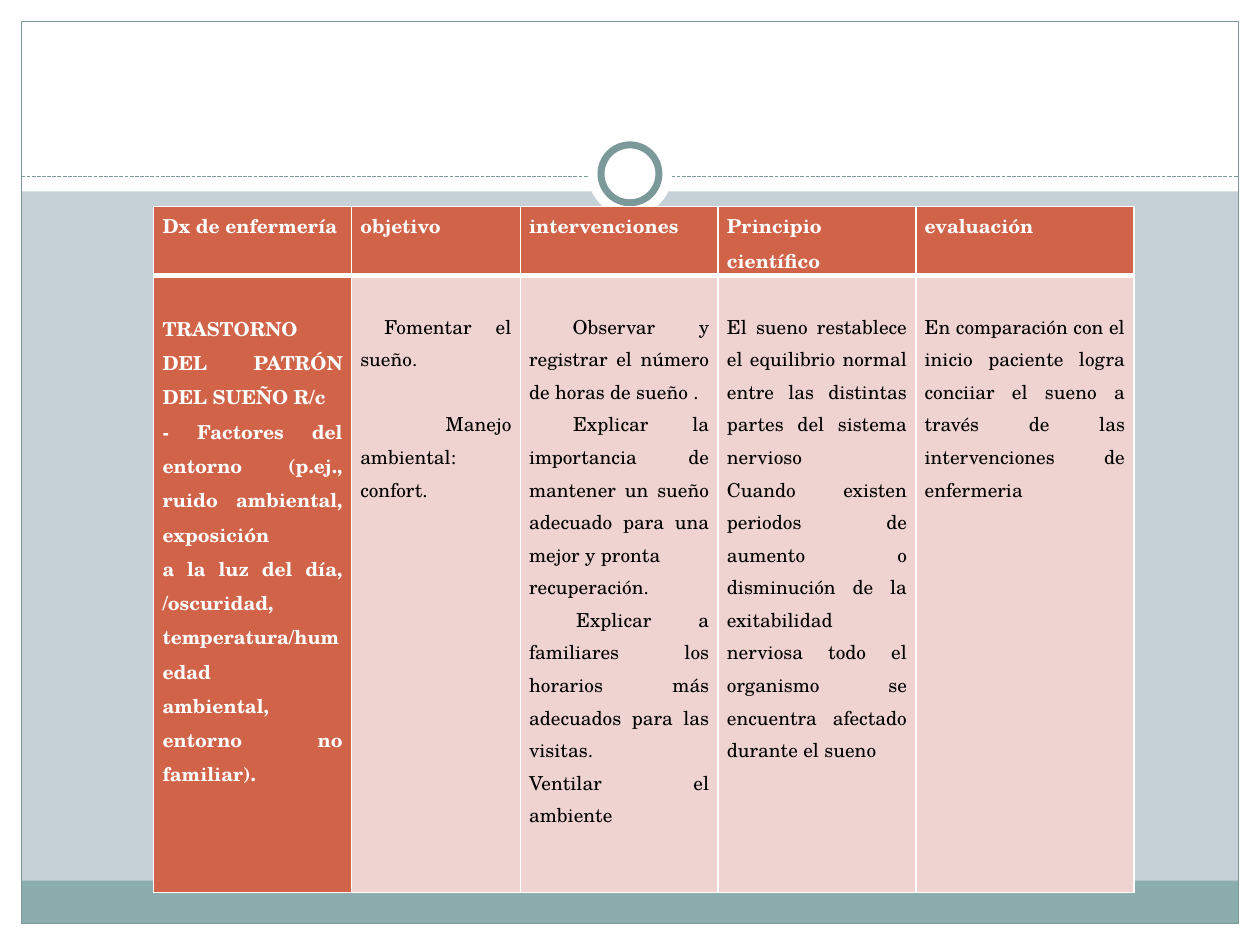
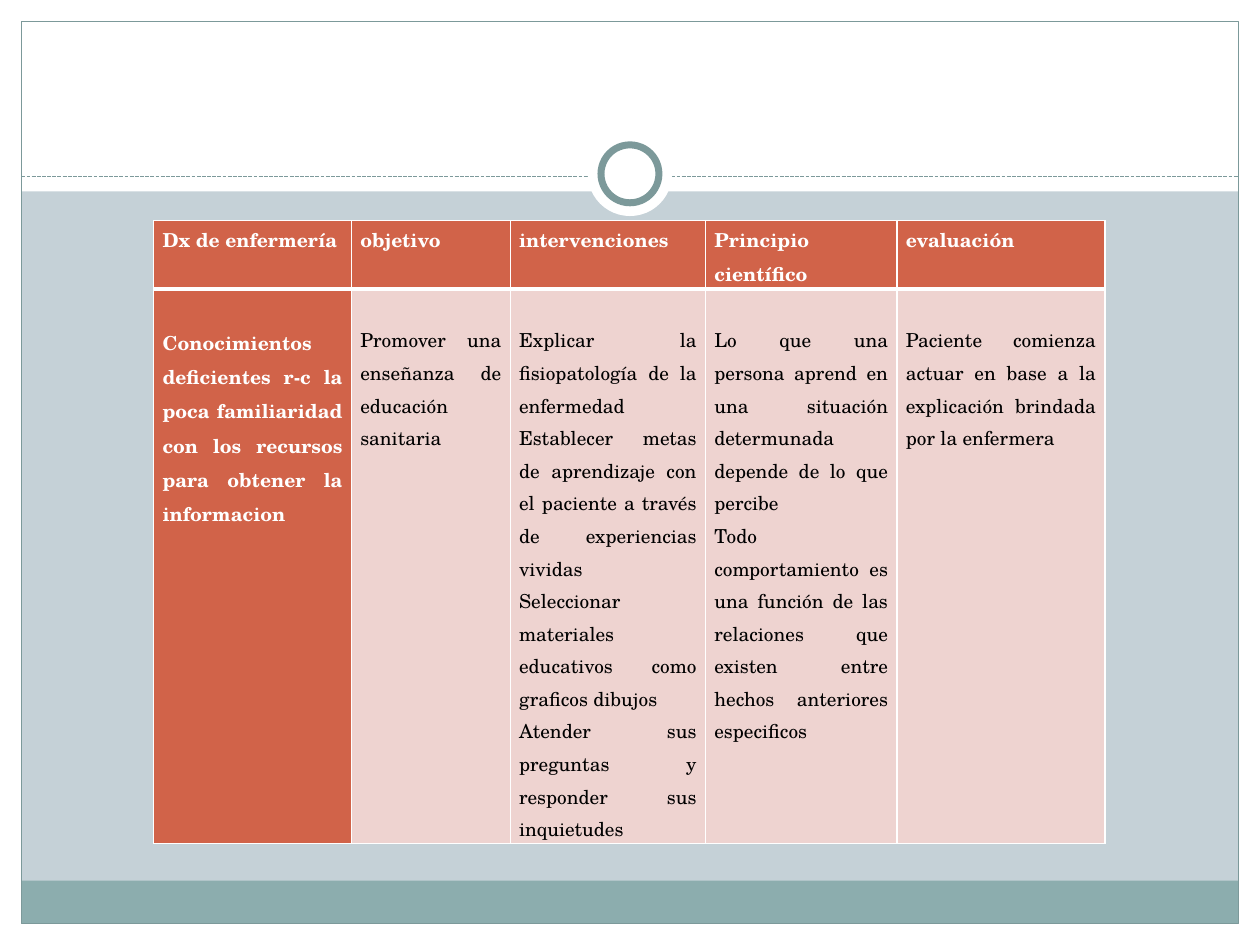
"""Nursing care plan tables on a shared framed background."""
from lxml import etree
from pptx import Presentation
from pptx import util as u
from pptx.dml.color import RGBColor
from pptx.enum import dml, shapes, text
from pptx.oxml import ns

COLORS = {
    "ground": "C5D1D7",
    "white": "FFFFFF",
    "band": "8CADAE",
    "frame": "7C999A",
    "accent": "D16349",
    "tint": "EED3D0",
    "ink": "000000",
}
FONT = "TeX Gyre Schola"
WIDTH, HEIGHT, EDGE = 10, 7.5, 0.17
HEADER_HEIGHT, CELL_SIDE = 0.54, 0.07
THIN, THICK = 1, 3

HEADINGS = [
    ["Dx de enfermería"],
    ["objetivo"],
    ["intervenciones"],
    ["Principio", "científico"],
    ["evaluación"],
]

SLEEP_PLAN = [
    [
        "TRASTORNO DEL PATRÓN DEL SUEÑO R/c",
        "- Factores del entorno (p.ej., ruido ambiental, exposición",
        "a la luz del día, /oscuridad, temperatura/humedad",
        "ambiental, entorno no familiar).",
    ],
    [" Fomentar el sueño.", " Manejo ambiental: confort."],
    [
        " Observar y registrar el número de horas de sueño .",
        " Explicar la importancia de mantener un sueño adecuado para una mejor y pronta",
        "recuperación.",
        " Explicar a familiares los horarios más adecuados para las visitas.",
        "Ventilar el ambiente",
    ],
    [
        "El sueno restablece el equilibrio normal entre las distintas partes "
        "del sistema nervioso",
        "Cuando existen periodos de aumento o disminución de la exitabilidad "
        "nerviosa todo el organismo se encuentra afectado durante el sueno",
    ],
    [
        "En comparación con el inicio paciente logra conciiar el sueno a través "
        "de las intervenciones de enfermeria",
    ],
]

KNOWLEDGE_PLAN = [
    [
        "Conocimientos deficientes r-c la poca familiaridad con los recursos "
        "para obtener la informacion",
    ],
    ["Promover una enseñanza de educación sanitaria"],
    [
        "Explicar la fisiopatología de la enfermedad",
        "Establecer metas de aprendizaje con el paciente a través de experiencias vividas",
        "Seleccionar materiales educativos como graficos dibujos",
        "Atender sus preguntas y responder sus inquietudes",
    ],
    [
        "Lo que una persona aprend en una situación determunada depende de lo que percibe",
        "Todo comportamiento es una función de las relaciones que existen entre "
        "hechos anteriores especificos",
    ],
    ["Paciente comienza actuar en base a la explicación brindada por la enfermera"],
]


class CarePlanDeck:
    """Holds the deck style and the current page."""

    def __init__(self):
        self.deck = Presentation()
        self.deck.slide_width = u.Inches(WIDTH)
        self.deck.slide_height = u.Inches(HEIGHT)
        self.page = None

    def color(self, name):
        return RGBColor.from_string(COLORS[name])

    def paint(self, fill, name):
        fill.solid()
        fill.fore_color.rgb = self.color(name)

    def shape(self, kind, left, top, width, height, fill=None, line=None, weight=0.75):
        box = self.page.shapes.add_shape(
            kind, u.Inches(left), u.Inches(top), u.Inches(width), u.Inches(height))
        box.shadow.inherit = False
        if fill:
            self.paint(box.fill, fill)
        else:
            box.fill.background()
        if line:
            self.paint(box.line.fill, line)
            box.line.width = u.Pt(weight)
        else:
            box.line.fill.background()

    def rectangle(self, *place, **style):
        self.shape(shapes.MSO_SHAPE.RECTANGLE, *place, **style)

    def circle(self, center_x, center_y, size, **style):
        self.shape(shapes.MSO_SHAPE.OVAL, center_x - size / 2, center_y - size / 2,
                   size, size, **style)

    def dashed_rule(self, left, right, top):
        rule = self.page.shapes.add_connector(
            shapes.MSO_CONNECTOR.STRAIGHT,
            u.Inches(left), u.Inches(top), u.Inches(right), u.Inches(top))
        self.paint(rule.line.fill, "frame")
        rule.line.width = u.Pt(0.75)
        rule.line.dash_style = dml.MSO_LINE.SQUARE_DOT
        etree.SubElement(rule._element.spPr, ns.qn("a:effectLst"))

    def new_page(self):
        self.page = self.deck.slides.add_slide(self.deck.slide_layouts[6])
        self.paint(self.page.background.fill, "ground")
        inner = WIDTH - 2 * EDGE
        self.rectangle(0, HEIGHT - EDGE, WIDTH, EDGE, fill="white")
        self.rectangle(0, 0, WIDTH, 1.52, fill="white")
        for left in (0, WIDTH - EDGE):
            self.rectangle(left, 0, EDGE, HEIGHT, fill="white")
        self.rectangle(EDGE, 6.99, inner, 0.34, fill="band")
        self.rectangle(EDGE, EDGE, inner, HEIGHT - 2 * EDGE, line="frame")
        self.dashed_rule(EDGE, WIDTH - EDGE, 1.4)
        self.circle(WIDTH / 2, 1.38, 0.67, fill="white")
        self.circle(WIDTH / 2, 1.38, 0.46, fill="white", line="frame", weight=4)

    def borders(self, cell, top, bottom):
        properties = cell._tc.get_or_add_tcPr()
        for side, weight in (("L", THIN), ("R", THIN), ("T", top), ("B", bottom)):
            line = etree.SubElement(properties, ns.qn(f"a:ln{side}"), w=str(u.Pt(weight)))
            fill = etree.SubElement(line, ns.qn("a:solidFill"))
            etree.SubElement(fill, ns.qn("a:srgbClr"), val=COLORS["white"])

    def cell(self, cell, lines, heading, bold, gap):
        if heading:
            self.borders(cell, THIN, THICK)
        else:
            self.borders(cell, THICK, THIN)
        self.paint(cell.fill, "accent" if bold else "tint")
        cell.margin_left = cell.margin_right = u.Inches(CELL_SIDE)
        line_height = 0.27 if bold else 0.26
        cell.margin_top = u.Inches(0 if heading else line_height)
        cell.margin_bottom = 0
        for index, line in enumerate(lines):
            para = cell.text_frame.paragraphs[0] if index == 0 else cell.text_frame.add_paragraph()
            para.text = line
            para.alignment = text.PP_ALIGN.JUSTIFY
            para.line_spacing = 1.15
            if index and gap:
                para.space_before = u.Inches(gap)
            para.font.name = FONT
            para.font.size = u.Pt(11)
            para.font.bold = bold
            para.font.color.rgb = self.color("white" if bold else "ink")

    def care_table(self, top, body_height, widths, plan, goal_gap=0):
        table = self.page.shapes.add_table(
            2, len(widths), u.Inches(1.22), u.Inches(top),
            u.Inches(sum(widths)), u.Inches(HEADER_HEIGHT + body_height)).table
        table.first_row = table.horz_banding = False
        table.rows[0].height = u.Inches(HEADER_HEIGHT)
        table.rows[1].height = u.Inches(body_height)
        for column, width in enumerate(widths):
            table.columns[column].width = u.Inches(width)
            self.cell(table.cell(0, column), HEADINGS[column], True, True, 0)
            self.cell(table.cell(1, column), plan[column], False, column == 0,
                      goal_gap if column == 1 else 0)


def main():
    care = CarePlanDeck()
    care.new_page()
    care.care_table(1.64, 4.9, [1.57, 1.34, 1.57, 1.57, 1.73], SLEEP_PLAN, goal_gap=0.26)
    care.new_page()
    care.care_table(1.75, 4.4, [1.57, 1.26, 1.55, 1.52, 1.65], KNOWLEDGE_PLAN)
    care.deck.save("out.pptx")


if __name__ == "__main__":
    main()
